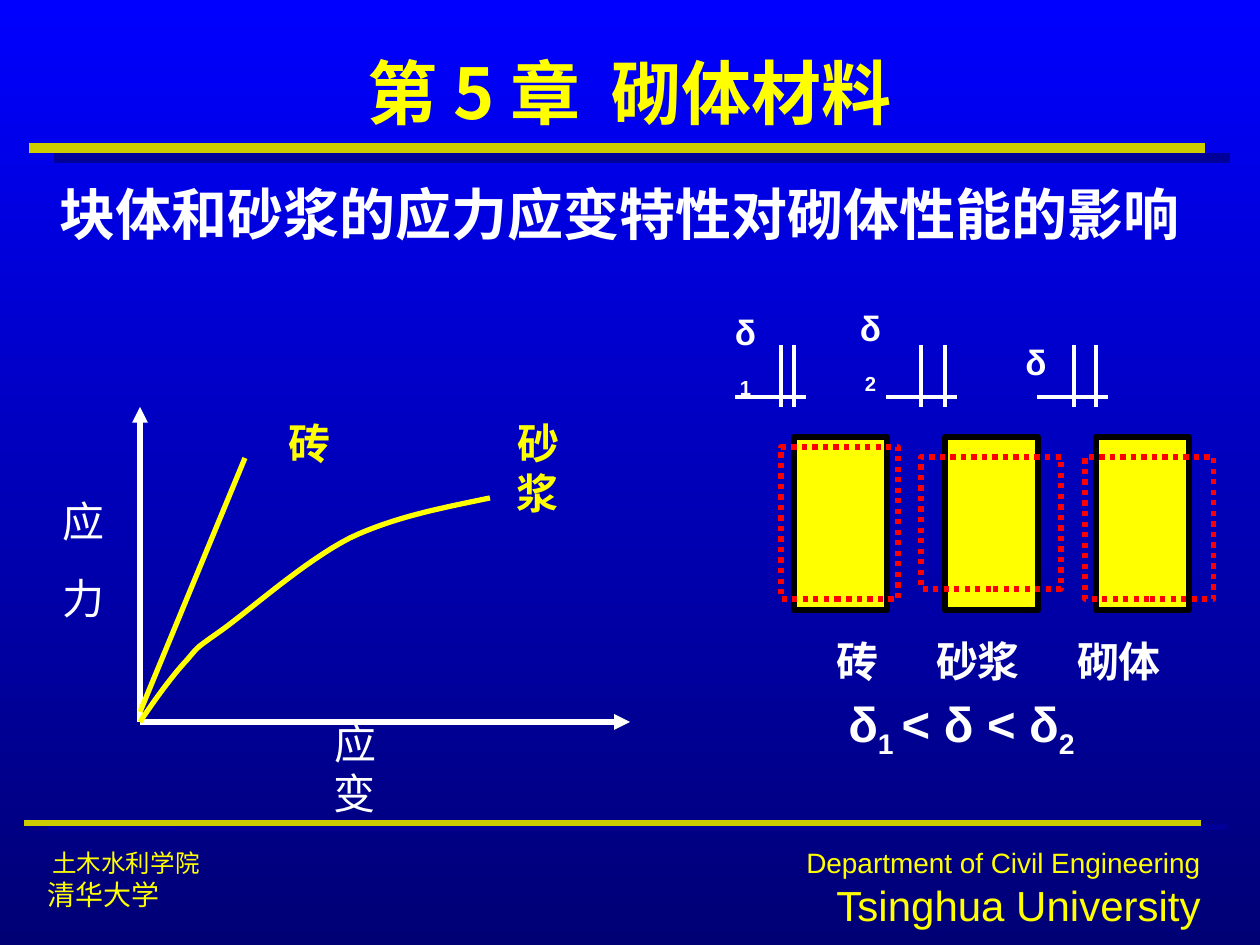
from lxml.etree import SubElement
from pptx import Presentation
from pptx.dml.color import RGBColor
from pptx.enum.dml import MSO_LINE
from pptx.enum.shapes import MSO_CONNECTOR, MSO_SHAPE
from pptx.enum.text import MSO_ANCHOR, PP_ALIGN
from pptx.oxml.ns import qn
from pptx.util import Pt

SCALE = 914400 / 126
COLORS = {
    "white": "FFFFFF", "yellow": "FFFF00", "rule": "CCCC00", "rule_shade": "000099",
    "black": "000000", "red": "FF0000", "sky": "0000FF", "deep": "000075",
}
LATIN, CJK = "Arial", "Noto Sans CJK SC"


def px(length):
    return round(length * SCALE)


def rgb(name):
    return RGBColor.from_string(COLORS[name])


def style_run(run, size, color, bold, latin):
    run.font.size = Pt(size)
    run.font.bold = bold
    run.font.color.rgb = rgb(color)
    run.font.name = latin
    SubElement(run._r.get_or_add_rPr(), qn("a:ea"), typeface=CJK)


def add_text(slide, box, lines, sizes, color="white", bold=False, latin=LATIN,
             align=PP_ALIGN.CENTER, anchor=MSO_ANCHOR.MIDDLE, wrap=False, gap=0):
    frame = slide.shapes.add_textbox(*map(px, box)).text_frame
    frame.word_wrap = wrap
    frame.vertical_anchor = anchor
    for index, (line, size) in enumerate(zip(lines, sizes)):
        paragraph = frame.add_paragraph() if index else frame.paragraphs[0]
        paragraph.alignment = align
        if index:
            paragraph.space_before = Pt(gap)
        for part in [line] if isinstance(line, str) else line:
            run = paragraph.add_run()
            run.text = part
            style_run(run, size, color, bold, latin)
    return frame


def lower(frame, positions):
    for position in positions:
        run = frame.paragraphs[0].runs[position]
        run._r.get_or_add_rPr().set("baseline", "-25000")


def add_line(slide, start, end, color, width, arrow=False):
    line = slide.shapes.add_connector(MSO_CONNECTOR.STRAIGHT, *map(px, start + end))
    line.line.color.rgb = rgb(color)
    line.line.width = Pt(width)
    if arrow:
        SubElement(line.line._get_or_add_ln(), qn("a:tailEnd"), type="triangle")
    SubElement(line._element.spPr, qn("a:effectLst"))


def add_block(slide, box, line_color, fill_color=None):
    block = slide.shapes.add_shape(MSO_SHAPE.RECTANGLE, *map(px, box))
    block.shadow.inherit = False
    block.line.color.rgb = rgb(line_color)
    block.line.width = Pt(3)
    if fill_color:
        block.fill.solid()
        block.fill.fore_color.rgb = rgb(fill_color)
    else:
        block.fill.background()
    return block


def bezier(start, first, second, end, steps=16):
    for step in range(1, steps + 1):
        t = step / steps
        weights = ((1 - t) ** 3, 3 * t * (1 - t) ** 2, 3 * t * t * (1 - t), t ** 3)
        yield tuple(sum(w * p[axis] for w, p in zip(weights, (start, first, second, end)))
                    for axis in (0, 1))


def set_background(slide):
    fill = slide.background.fill
    fill.gradient()
    fill.gradient_angle = 270
    for stop, color in zip(fill.gradient_stops, ("sky", "deep")):
        stop.color.rgb = rgb(color)


def build_header(slide, left, top):
    title = add_text(slide, (left + 65, top, 1071, 86), [("第 5 章", " ", "砌体材料")], [40],
                     "yellow", True, CJK, wrap=True)
    title.paragraphs[0].runs[1]._r.get_or_add_rPr().set("spc", "900")
    add_line(slide, (left, top + 99), (left + 1176, top + 99), "rule", 6)
    add_line(slide, (left + 25, top + 109), (left + 1201, top + 109), "rule_shade", 6)
    add_text(slide, (left + 18, top + 124, 1167, 100),
             ["块体和砂浆的应力应变特性对砌体性能的影响"], [32], "white", True, CJK,
             PP_ALIGN.LEFT, MSO_ANCHOR.TOP, True)


def build_footer(slide, left, top):
    add_line(slide, (left + 24, top + 5), (left + 1204, top + 4), "rule_shade", 3)
    add_line(slide, (left, top), (left + 1177, top), "rule", 3)
    school = add_text(slide, (left + 11, top + 19, 501, 76), ["土木水利学院", "清华大学"],
                      [14, 16], "yellow", align=PP_ALIGN.LEFT, wrap=True)
    school.paragraphs[0]._p.get_or_add_pPr().set("marL", str(px(5)))
    add_text(slide, (left + 688, top + 16, 501, 97),
             ["Department of Civil Engineering", "Tsinghua University"],
             [16, 24], "yellow", align=PP_ALIGN.RIGHT, wrap=True)


def build_stress_strain(slide, left, top):
    origin = (left, top + 315)
    add_line(slide, origin, (left, top), "white", 3, True)
    add_line(slide, origin, (left + 490, top + 315), "white", 3, True)
    add_line(slide, (left, top + 305), (left + 105, top + 51), "yellow", 3)

    segments = [
        ((0, 315), (16, 291), (33, 268), (47, 253)),
        ((47, 253), (60, 238), (54, 243), (82, 223)),
        ((82, 223), (110, 203), (165, 154), (210, 131)),
        ((210, 131), (254, 110), (302, 101), (350, 91)),
    ]
    points = [(px(left + x), px(top + y)) for segment in segments for x, y in bezier(*segment)]
    builder = slide.shapes.build_freeform(*map(px, origin), scale=1.0)
    builder.add_line_segments(points, close=False)
    mortar_curve = builder.convert_to_shape()
    mortar_curve.shadow.inherit = False
    mortar_curve.fill.background()
    mortar_curve.line.color.rgb = rgb("yellow")
    mortar_curve.line.width = Pt(3)

    add_text(slide, (left + 136, top + 4, 67, 63), ["砖"], [24], "yellow", True)
    add_text(slide, (left + 344, top + 29, 108, 63), ["砂浆"], [24], "yellow", True)
    add_text(slide, (left + 161, top + 329, 108, 63), ["应变"], [24])
    add_text(slide, (left - 90, top + 82, 67, 140), ["应", "力"], [24, 24], gap=15)


def build_deformation(slide, left, top):
    specimens = [
        ("砖", ("δ", "1"), (-16, -20, 53, 60), (46, 102, 117, 152), 46, 122),
        ("砂浆", ("δ", "2"), (109, -24, 53, 60), (186, 112, 140, 132), 186, 243),
        ("砌体", ("δ",), (278, -11, 43, 55), (350, 112, 129, 142), 339, 384),
    ]
    for index, (_, _, _, _, _, _) in enumerate(specimens):
        add_block(slide, (left + 59 + 151 * index, top + 92, 93, 173), "black", "yellow")
    for index, (name, symbol, symbol_box, bulge, tick, center) in enumerate(specimens):
        edge = left + 59 + 151 * index
        x, y, width, height = bulge
        outline = add_block(slide, (left + x, top + y, width, height), "red")
        outline.line.dash_style = MSO_LINE.ROUND_DOT
        for tick_x in (edge, left + tick):
            add_line(slide, (tick_x, top + 62), (tick_x, top), "white", 2)
        add_line(slide, (edge + 12, top + 52), (edge - 59, top + 52), "white", 2)
        x, y, width, height = symbol_box
        delta = add_text(slide, (left + x, top + y, width, height), [symbol], [20],
                         bold=True, wrap=len(symbol) > 1)
        lower(delta, range(1, len(symbol)))
        add_text(slide, (left + center - 60, top + 284, 120, 63), [name], [24], bold=True)
    relation = add_text(slide, (left + 10, top + 342, 433, 79), [("δ", "1 ", "< δ < δ", "2")],
                        [28], bold=True, wrap=True)
    lower(relation, (1, 3))


def main():
    deck = Presentation()
    deck.slide_width, deck.slide_height = px(1260), px(945)
    slide = deck.slides.add_slide(deck.slide_layouts[6])
    set_background(slide)
    build_header(slide, 29, 49)
    build_footer(slide, 24, 823)
    build_stress_strain(slide, 140, 407)
    build_deformation(slide, 735, 345)
    deck.save("out.pptx")


if __name__ == "__main__":
    main()
